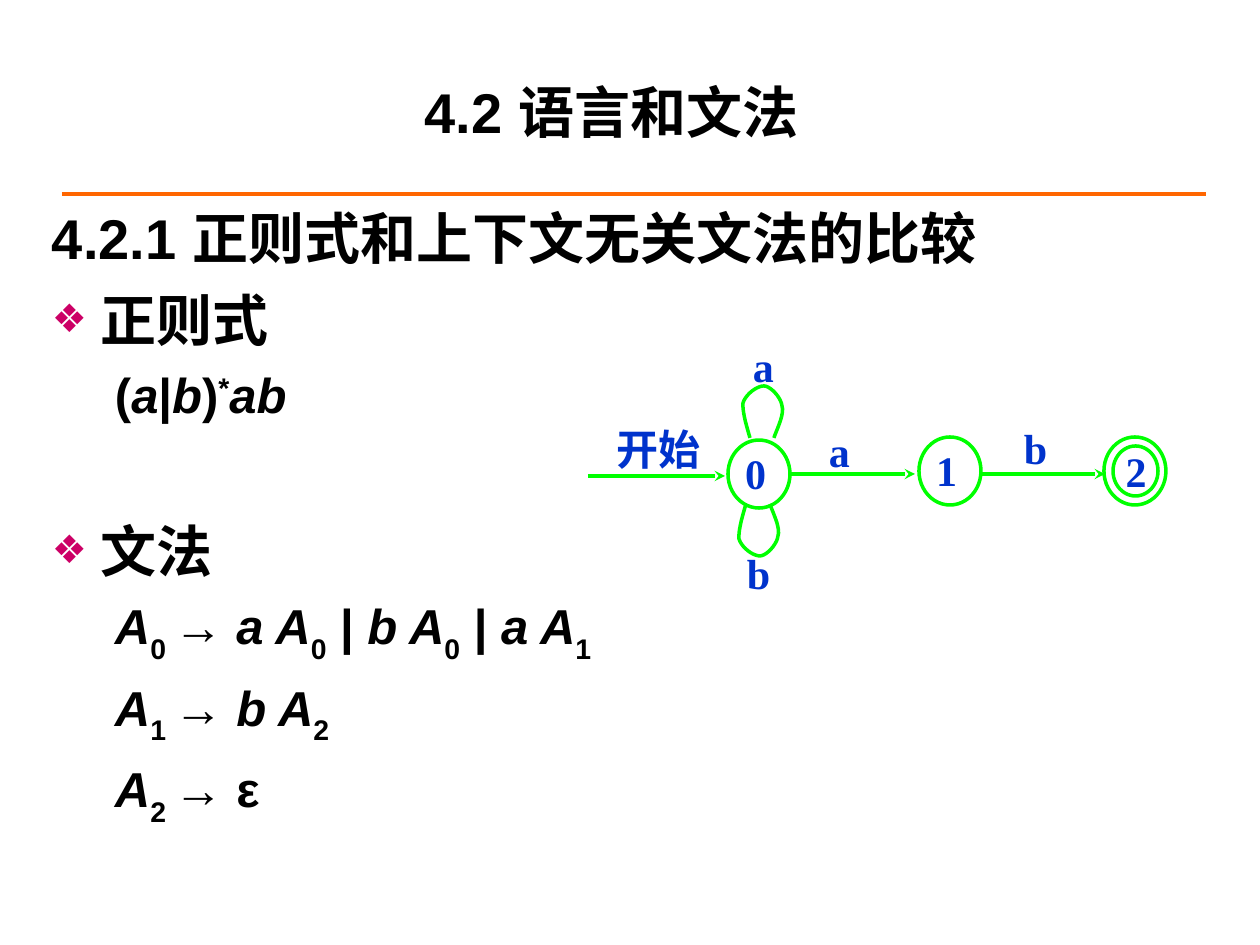
from lxml import etree
from pptx import Presentation
from pptx.dml.color import RGBColor
from pptx.enum.shapes import MSO_CONNECTOR, MSO_SHAPE
from pptx.enum.text import MSO_ANCHOR, PP_ALIGN
from pptx.oxml.ns import qn
from pptx.util import Pt

PX = 914400 / 126
STRAIGHT = MSO_CONNECTOR.STRAIGHT
OVAL = MSO_SHAPE.OVAL
MIDDLE = MSO_ANCHOR.MIDDLE
CENTER = PP_ALIGN.CENTER
LEFT = PP_ALIGN.LEFT
BLACK, BLUE, GREEN, ORANGE, MAGENTA = "000000", "0033CC", "00FF00", "FF6600", "CC0066"
SANS, SERIF, CJK = "Arial", "Times New Roman", "Noto Sans CJK SC"
BASELINES = {"sub": "-30000", "sup": "30000"}

HEADING = [("4.2.1 正则式和上下文无关文法的比较", "")]
REGEX = [("(", ""), ("a", "i"), ("|", ""), ("b", "i"), (")", ""), ("*", "sup"), ("ab", "i")]
PRODUCTIONS = [
    [("A", "i"), ("0 ", "sub"), ("→ ", ""), ("a A", "i"), ("0", "sub"), (" | ", ""),
     ("b A", "i"), ("0", "sub"), (" | ", ""), ("a A", "i"), ("1", "sub")],
    [("A", "i"), ("1 ", "sub"), ("→ ", ""), ("b A", "i"), ("2", "sub")],
    [("A", "i"), ("2 ", "sub"), ("→ ε", "")],
]
LOOP = [(46, -2), (47, -7), (57, -25), (54, -34), (53, -43), (42, -54), (36, -54),
        (29, -54), (18, -46), (15, -37), (14, -28), (20, -9), (22, -2)]


def emu(*lengths):
    return [round(length * PX) for length in lengths]


def color(hex_text):
    return RGBColor.from_string(hex_text)


def style_run(run, size, face, hex_text, style=""):
    run.font.size = Pt(size)
    run.font.bold = True
    run.font.italic = style == "i"
    run.font.color.rgb = color(hex_text)
    run.font.name = face
    properties = run._r.get_or_add_rPr()
    etree.SubElement(properties, qn("a:ea"), typeface=CJK)
    if style in BASELINES:
        properties.set("baseline", BASELINES[style])


def set_insets(frame, left, top, right, bottom):
    frame.word_wrap = True
    frame.margin_left, frame.margin_top, frame.margin_right, frame.margin_bottom = emu(
        left, top, right, bottom)


def add_text(shapes, box, text, size, face, hex_text, insets):
    frame = shapes.add_textbox(*emu(*box)).text_frame
    set_insets(frame, *insets)
    frame.text = text
    style_run(frame.paragraphs[0].runs[0], size, face, hex_text)
    return frame


def add_line(shapes, start, end, hex_text, width, arrow=False):
    line = shapes.add_connector(STRAIGHT, *emu(*start, *end))
    line.line.color.rgb = color(hex_text)
    line.line.width = Pt(width)
    if arrow:
        etree.SubElement(line.line._get_or_add_ln(), qn("a:tailEnd"), type="stealth")
    etree.SubElement(line._element.spPr, qn("a:effectLst"))


def outline(shape):
    shape.shadow.inherit = False
    shape.fill.background()
    shape.line.color.rgb = color(GREEN)
    shape.line.width = Pt(2)


def add_title(slide, box):
    left, top, width, height = box
    frame = add_text(slide.shapes, box, "4.2 语言和文法", 32, SANS, BLACK, (0, 0, 0, 0))
    frame.vertical_anchor = MIDDLE
    frame.paragraphs[0].alignment = CENTER
    rule_y = top + height + 4
    add_line(slide.shapes, (left - 14, rule_y), (left + 1130, rule_y), ORANGE, 2.25)


def add_bullet(properties):
    tint = etree.SubElement(properties, qn("a:buClr"))
    etree.SubElement(tint, qn("a:srgbClr"), val=MAGENTA)
    etree.SubElement(properties, qn("a:buSzPct"), val="70000")
    etree.SubElement(properties, qn("a:buFont"), typeface=SANS)
    etree.SubElement(properties, qn("a:buChar"), char="❖")


def add_outline_text(slide, box):
    frame = slide.shapes.add_textbox(*emu(*box)).text_frame
    set_insets(frame, 13, 6, 13, 6)
    lines = [(HEADING, "heading", 0), ([("正则式", "")], "topic", 8), (REGEX, "formula", 7),
             ([("文法", "")], "topic", 53)]
    lines += [(production, "formula", 7) for production in PRODUCTIONS]
    for index, (runs, role, gap) in enumerate(lines):
        paragraph = frame.paragraphs[0] if index == 0 else frame.add_paragraph()
        margin, hanging, size = (102, 39, 28) if role == "formula" else (48, 48, 32)
        properties = paragraph._p.get_or_add_pPr()
        properties.set("marL", str(emu(margin)[0]))
        properties.set("indent", str(-emu(hanging)[0]))
        paragraph.level = int(role == "formula")
        paragraph.space_before = Pt(gap)
        if role == "topic":
            add_bullet(properties)
        for text, style in runs:
            run = paragraph.add_run()
            run.text = text
            style_run(run, size, SANS, BLACK, style)


def add_state(shapes, box, name="", insets=(8, 4, 3, 6)):
    state = shapes.add_shape(OVAL, *emu(*box))
    outline(state)
    if name:
        frame = state.text_frame
        set_insets(frame, *insets)
        frame.vertical_anchor = MIDDLE
        frame.text = name
        frame.paragraphs[0].alignment = LEFT
        style_run(frame.paragraphs[0].runs[0], 24, SERIF, BLUE)


def curve_points(controls, steps=10):
    points = [controls[0]]
    for first in range(0, len(controls) - 1, 3):
        segment = controls[first:first + 4]
        for step in range(1, steps + 1):
            t = step / steps
            weights = ((1 - t) ** 3, 3 * t * (1 - t) ** 2, 3 * t * t * (1 - t), t ** 3)
            points.append(tuple(sum(w * point[axis] for w, point in zip(weights, segment))
                                for axis in (0, 1)))
    return points


def add_loop(shapes, controls):
    points = [emu(x, y) for x, y in curve_points(controls)]
    builder = shapes.build_freeform(*points[0])
    builder.add_line_segments(points[1:], close=False)
    outline(builder.convert_to_shape())


def add_automaton(slide, box):
    left, top, width, height = box
    shapes = slide.shapes.add_group_shape().shapes
    for x, y, name in ((140, 104, "0"), (331, 101, "1"), (516, 101, "")):
        add_state(shapes, (left + x, top + y, 62, 68), name)
    add_state(shapes, (left + 525, top + 110, 45, 50), "2", (6, 0, 1, 0))
    for start, end, y in ((0, 137, 140), (203, 327, 138), (394, 517, 138)):
        add_line(shapes, (left + start, top + y), (left + end, top + y), GREEN, 2, True)
    add_loop(shapes, [(left + 140 + x, top + 104 + y) for x, y in LOOP])
    add_loop(shapes, [(left + 136 + x, top + 166 - y) for x, y in LOOP])
    labels = (("开始", 21, 83, 100), ("a", 233, 85, 50), ("a", 157, 0, 50),
              ("b", 151, 207, 50), ("b", 428, 82, 50))
    for text, x, y, label_width in labels:
        add_text(shapes, (left + x, top + y, label_width, 56), text, 24, SERIF, BLUE,
                 (8, 4, 8, 4))


def main():
    deck = Presentation()
    deck.slide_width, deck.slide_height = emu(1260, 945)
    slide = deck.slides.add_slide(deck.slide_layouts[6])
    add_title(slide, (76, 32, 1071, 158))
    add_outline_text(slide, (39, 198, 1181, 694))
    add_automaton(slide, (588, 336, 578, 263))
    deck.save("out.pptx")


if __name__ == "__main__":
    main()
